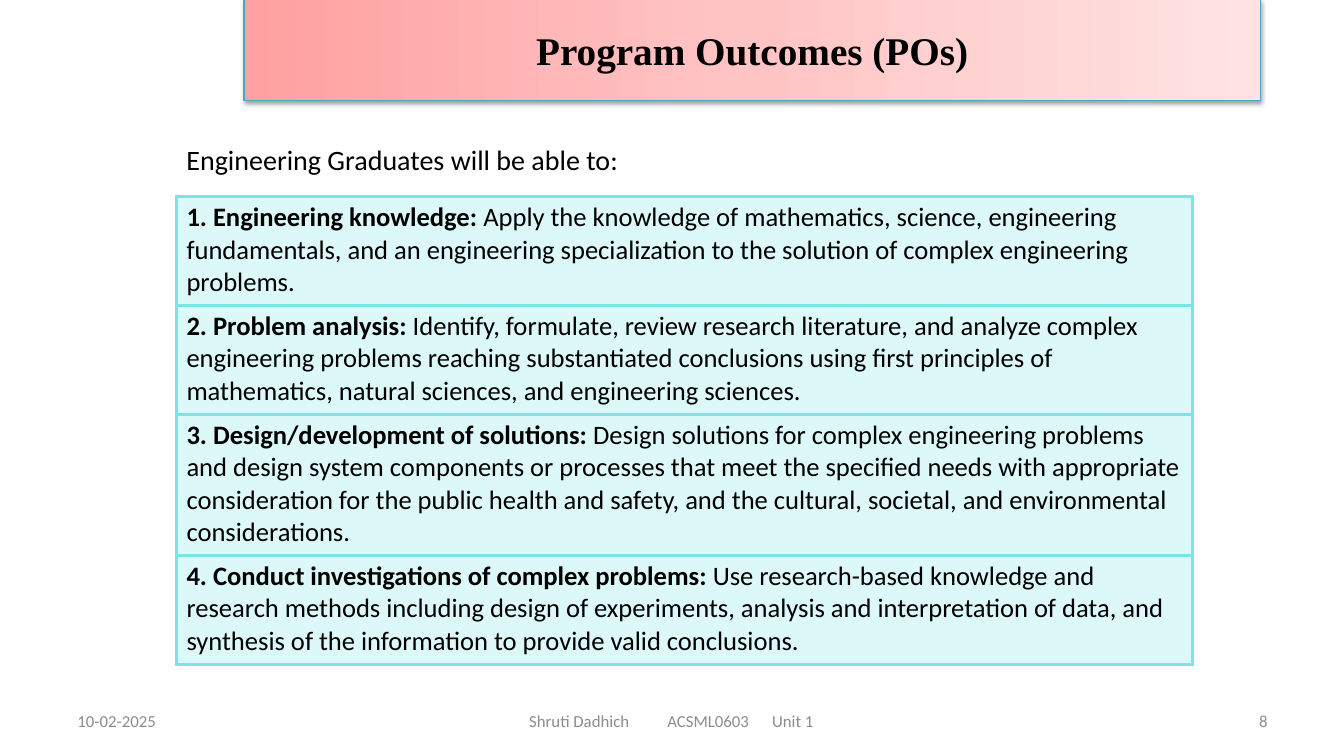
from lxml.etree import SubElement as Sub
from copy import deepcopy
from pptx import Presentation
from pptx.dml.color import RGBColor as RGB
from pptx.enum.shapes import MSO_SHAPE as Shape
from pptx.enum.text import MSO_ANCHOR as Anchor, MSO_AUTO_SIZE as Auto, PP_ALIGN as Align
from pptx.oxml.ns import qn
from pptx.util import Inches, Pt

HUES = {"ink": "000000", "gray": "8C8C8C", "aqua": "7BE5E5", "edge": "46AAC5"}
FADE = [(0, "FFA0A0"), (0.5, "FFC5C5"), (1, "FFE3E3")]
TITLE = "Program Outcomes (POs)"
INTRO = "Engineering Graduates will be able to:"
GOALS = [
    ("1. Engineering knowledge:", " Apply the knowledge of mathematics, science, engineering fundamentals, and an engineering specialization to the solution of complex engineering problems.", 1.08),
    ("2. Problem analysis:", " Identify, formulate, review research literature, and analyze complex engineering problems reaching substantiated conclusions using first principles of mathematics, natural sciences, and engineering sciences.", 1.08),
    ("3. Design/development of solutions:", " Design solutions for complex engineering problems and design system components or processes that meet the specified needs with appropriate consideration for the public health and safety, and the cultural, societal, and environmental considerations.", 1.4),
    ("4. Conduct investigations of complex problems:", " Use research-based knowledge and research methods including design of experiments, analysis and interpretation of data, and synthesis of the information to provide valid conclusions.", 1.08),
]
FOOT = [
    ("10-02-2025", 0.67, 3.11, Align.LEFT),
    ("Shruti Dadhich\tACSML0603\tUnit 1", 5.15, 3.63, Align.LEFT),
    ("8", 9.56, 3.11, Align.RIGHT),
]
TABS = [1.37, 2.41]
LEFT, WIDE = 1.75, 10.08


def write(para, text, size=19, font="Calibri", hue="ink", bold=False, align=None):
    if align is not None:
        para.alignment = align
    run = para.add_run()
    run.text = text
    run.font.size = Pt(size)
    run.font.name = font
    run.font.bold = bold
    run.font.color.rgb = RGB.from_string(HUES[hue])


def add_box(slide, area, text, anchor=Anchor.TOP, wrap=True, **style):
    frame = slide.shapes.add_textbox(*map(Inches, area)).text_frame
    frame.word_wrap = wrap
    frame.vertical_anchor = anchor
    para = frame.paragraphs[0]
    if "\t" in text:
        stops = Sub(para._p.get_or_add_pPr(), qn("a:tabLst"))
        for pos in TABS:
            Sub(stops, qn("a:tab"), pos=str(Inches(pos)), algn="l")
    write(para, text, **style)
    return frame


def add_title(slide):
    bar = slide.shapes.add_shape(Shape.RECTANGLE, *map(Inches, (2.42, -0.01, WIDE, 1.01)))
    bar.fill.gradient()
    bar.fill.gradient_angle = 0
    props = bar._element.spPr
    stops = props.find(".//" + qn("a:gsLst"))
    stops.append(deepcopy(stops[0]))
    for stop, (pos, hue) in zip(bar.fill.gradient_stops, FADE):
        stop.position = pos
        stop.color.rgb = RGB.from_string(hue)
    bar.line.color.rgb = RGB.from_string(HUES["edge"])
    bar.line.width = Pt(0.75)
    bar.shadow.inherit = False
    shade = Sub(props.find(qn("a:effectLst")), qn("a:outerShdw"), blurRad=str(Pt(3.1)),
                dist=str(Pt(1.6)), dir="5400000", rotWithShape="0")
    Sub(Sub(shade, qn("a:srgbClr"), val=HUES["ink"]), qn("a:alpha"), val="38000")
    bar.text_frame.vertical_anchor = Anchor.MIDDLE
    write(bar.text_frame.paragraphs[0], TITLE, size=28, font="Times New Roman",
          bold=True, align=Align.CENTER)


def paint(cell):
    props = cell._tc.get_or_add_tcPr()
    for side in ("lnL", "lnR", "lnT", "lnB"):
        line = Sub(props, qn("a:" + side), w=str(Pt(2.25)))
        Sub(Sub(line, qn("a:solidFill")), qn("a:srgbClr"), val=HUES["aqua"])
    cell.fill.solid()
    cell.fill.fore_color.rgb = RGB.from_string(HUES["aqua"])
    tint = props.find(qn("a:solidFill")).find(qn("a:srgbClr"))
    Sub(tint, qn("a:alpha"), val="25000")


def add_goals(slide):
    high = sum(goal[2] for goal in GOALS)
    area = map(Inches, (LEFT, 1.95, WIDE, high))
    table = slide.shapes.add_table(len(GOALS), 1, *area).table
    table.first_row = table.horz_banding = False
    for row, (name, text, tall) in zip(table.rows, GOALS):
        row.height = Inches(tall)
        cell = row.cells[0]
        paint(cell)
        para = cell.text_frame.paragraphs[0]
        write(para, name, bold=True)
        write(para, text)


def main():
    deck = Presentation()
    deck.slide_width, deck.slide_height = Inches(13.33), Inches(7.5)
    slide = deck.slides.add_slide(deck.slide_layouts[6])
    for text, left, wide, align in FOOT:
        add_box(slide, (left, 6.95, wide, 0.4), text, anchor=Anchor.MIDDLE,
                size=12, hue="gray", align=align)
    add_title(slide)
    intro = add_box(slide, (LEFT, 1.36, 4.52, 0.44), INTRO, wrap=False, size=20)
    intro.auto_size = Auto.SHAPE_TO_FIT_TEXT
    add_goals(slide)
    deck.save("out.pptx")


if __name__ == "__main__":
    main()
